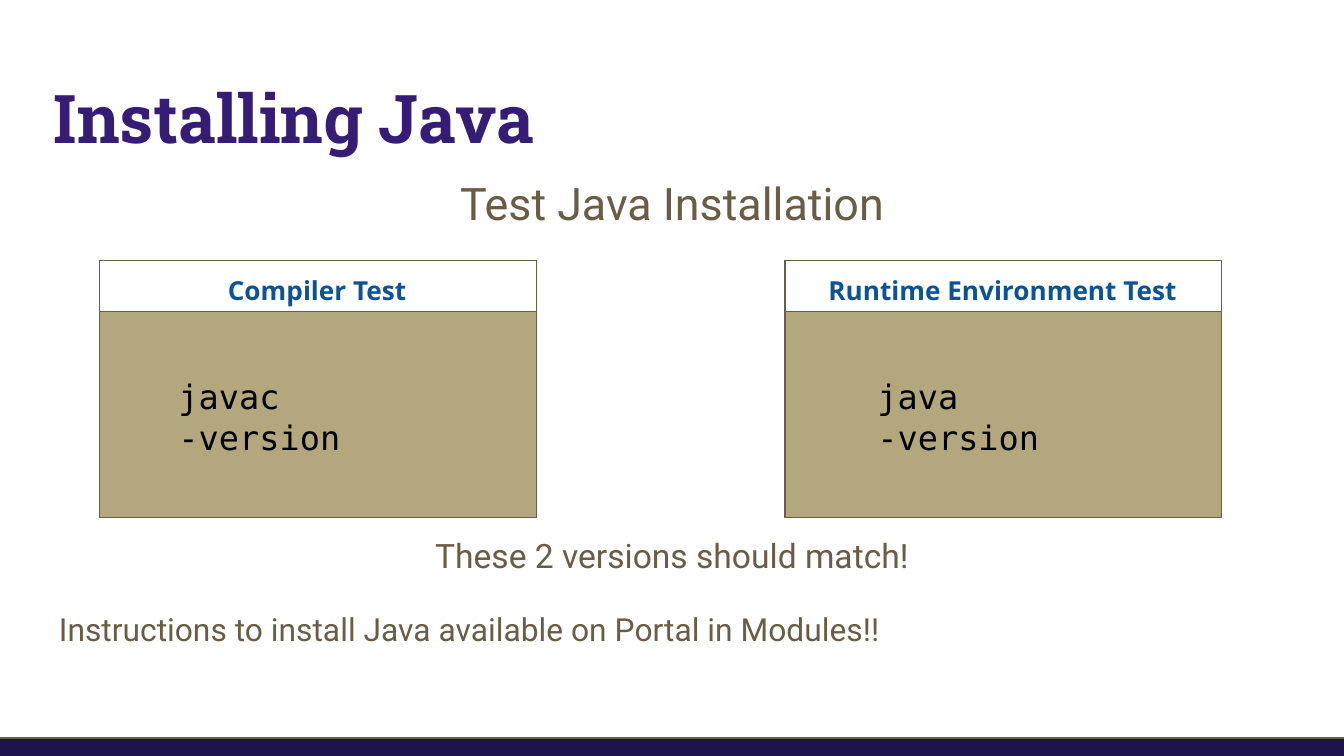
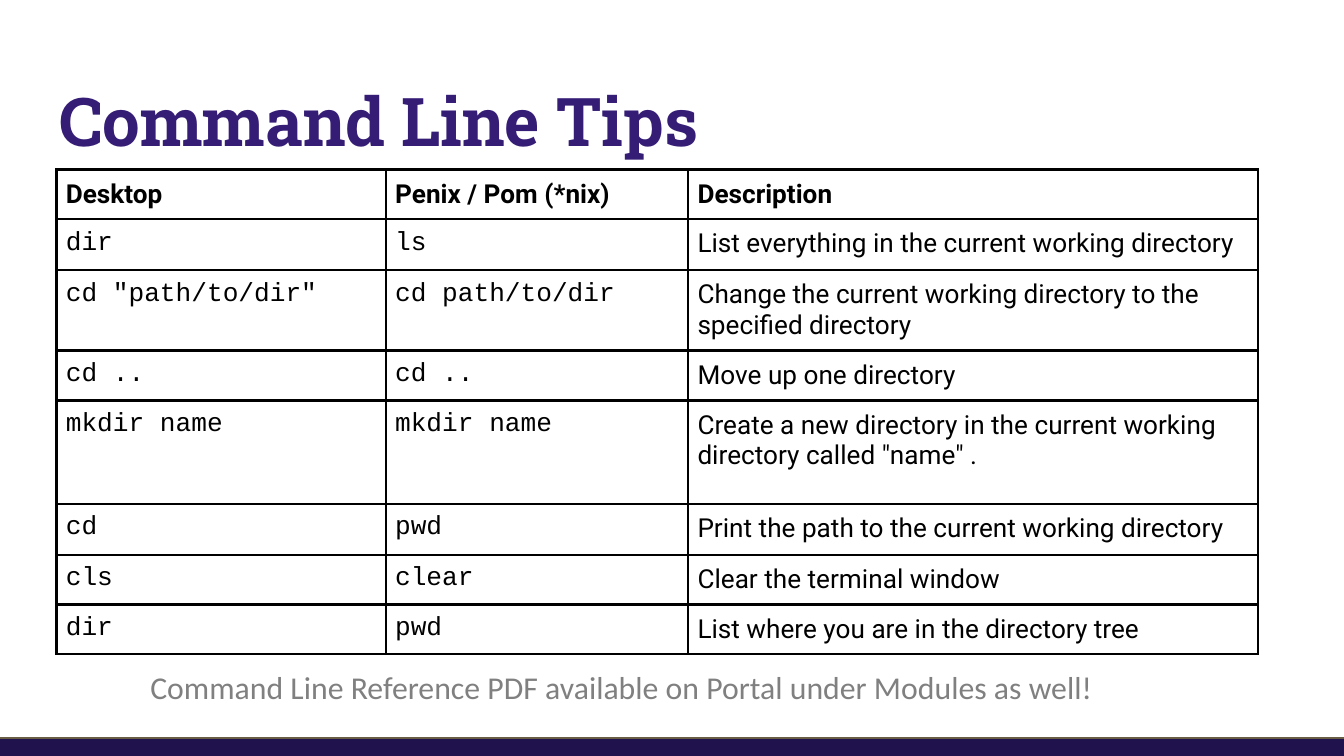
import pptx
import pptx.util
import pptx.dml.color
import pptx.enum.shapes
import pptx.enum.text
import pptx.oxml
import pptx.oxml.ns
from dataclasses import dataclass
from pptx.util import Inches


@dataclass(frozen=True)
class Theme:
    purple: str = "351C75"
    band: str = "20124D"
    brown: str = "695D46"
    tan: str = "B3A77D"
    blue: str = "0B5394"
    gray: str = "808080"
    black: str = "000000"
    white: str = "FFFFFF"
    title_font: str = "Roboto Slab"
    body_font: str = "Roboto"
    label_font: str = "Open Sans"
    code_font: str = "DejaVu Sans Mono"
    command_font: str = "Courier New"
    caption_font: str = "Calibri"
    title_size: int = 36
    subtitle_size: int = 24
    body_size: int = 18
    note_size: int = 17
    small_size: int = 14


theme = Theme()
rgb = pptx.dml.color.RGBColor.from_string
align = pptx.enum.text.PP_ALIGN
top = pptx.enum.text.MSO_ANCHOR.TOP


def write(frame, lines, font, color, sizes, bold=False, alignment=align.LEFT):
    """Fill a text frame with one size per line."""
    frame.text = "\n".join(lines)
    frame.word_wrap = True
    frame.vertical_anchor = top
    frame.margin_left = frame.margin_right = Inches(0.1)
    frame.margin_top = frame.margin_bottom = Inches(0.1)
    for paragraph, size in zip(frame.paragraphs, sizes):
        paragraph.alignment = alignment
        for run in paragraph.runs:
            run.font.name = font
            run.font.size = pptx.util.Pt(size)
            run.font.bold = bold
            run.font.color.rgb = rgb(color)


def add_box(slide, left, top_edge, width, height, fill):
    box = slide.shapes.add_shape(
        pptx.enum.shapes.MSO_SHAPE.RECTANGLE,
        Inches(left), Inches(top_edge), Inches(width), Inches(height))
    box.shadow.inherit = False
    box.fill.solid()
    box.fill.fore_color.rgb = rgb(fill)
    box.line.color.rgb = rgb(theme.brown)
    box.line.width = pptx.util.Pt(0.75)


# Widescreen page, 16:9
deck = pptx.Presentation()
deck.slide_width, deck.slide_height = Inches(10), Inches(10 * 9 / 16)

# Titles and bottom band
slides = []
for heading, left, top_edge in [("Installing Java", 0.3, 0.47),
                                ("Command Line Tips", 0.34, 0.49)]:
    slide = deck.slides.add_slide(deck.slide_layouts[5])
    title = slide.shapes.title
    title.left, title.top = Inches(left), Inches(top_edge)
    title.width, title.height = Inches(9.32), Inches(0.77)
    write(title.text_frame, [heading], theme.title_font, theme.purple,
          [theme.title_size], bold=True)
    add_box(slide, -0.1, 5.49, 10.12, 0.22, theme.band)
    slides.append(slide)
install, tips = slides

# Installing Java: body text
body = install.shapes.add_textbox(Inches(0.34), Inches(1.15), Inches(9.32), Inches(4.24))
write(body.text_frame,
      ["Test Java Installation",
       "These 2 versions should match!",
       "Instructions to install Java available on Portal in Modules!!"],
      theme.body_font, theme.brown,
      [theme.subtitle_size, theme.body_size, theme.note_size], alignment=align.CENTER)
for paragraph, space in zip(body.text_frame.paragraphs, [0, 160, 16]):
    paragraph.line_spacing = 1.15
    paragraph.space_before = pptx.util.Pt(space)
body.text_frame.paragraphs[-1].alignment = align.LEFT

# Installing Java: test cards
for label, command, left, code_left, code_width in [
        ("Compiler Test", "javac -version", 0.74, 1.23, 2.26),
        ("Runtime Environment Test", "java -version", 5.84, 6.43, 2.07)]:
    add_box(install, left, 1.94, 3.25, 1.91, theme.tan)
    code = install.shapes.add_textbox(
        Inches(code_left), Inches(2.7), Inches(code_width), Inches(0.57))
    write(code.text_frame, [command], theme.code_font, theme.black, [theme.body_size])
    add_box(install, left, 1.94, 3.25, 0.38, theme.white)
    header = install.shapes.add_textbox(
        Inches(left + 0.01), Inches(1.94), Inches(3.22), Inches(0.38))
    write(header.text_frame, [label], theme.label_font, theme.blue,
          [theme.small_size], bold=True, alignment=align.CENTER)

# Command Line Tips: command table
commands = [
    ("Desktop", "Penix / Pom (*nix)", "Description"),
    ("dir", "ls", "List everything in the current working directory"),
    ('cd "path/to/dir"', "cd path/to/dir",
     "Change the current working directory to the specified directory"),
    ("cd ..", "cd ..", "Move up one directory"),
    ("mkdir name", "mkdir name",
     'Create a new directory in the current working directory called "name" .'),
    ("cd", "pwd", "Print the path to the current working directory"),
    ("cls", "clear", "Clear the terminal window"),
    ("dir", "pwd", "List where you are in the directory tree"),
]
row_heights = [0.36, 0.38, 0.58, 0.36, 0.77, 0.38, 0.36, 0.36]
column_widths = [2.45, 2.25, 4.24]
table = tips.shapes.add_table(
    len(commands), len(column_widths),
    Inches(0.42), Inches(1.26), Inches(8.94), Inches(3.62)).table
table.first_row = table.horz_banding = False
for column, width in zip(table.columns, column_widths):
    column.width = Inches(width)
for r, (entries, height) in enumerate(zip(commands, row_heights)):
    table.rows[r].height = Inches(height)
    for c, entry in enumerate(entries):
        cell = table.cell(r, c)
        is_command = r > 0 and c < 2
        write(cell.text_frame, [entry],
              theme.command_font if is_command else theme.body_font,
              theme.black, [theme.small_size], bold=r == 0)
        cell.margin_left = cell.margin_right = Inches(0.07)
        cell.margin_top = cell.margin_bottom = Inches(0.07)
        cell.vertical_anchor = top
        cell.fill.background()
        # Borders come before the fill in the cell properties
        properties = cell._tc.get_or_add_tcPr()
        for position, side in enumerate("LRTB"):
            properties.insert(position, pptx.oxml.parse_xml(
                f'<a:ln{side} {pptx.oxml.ns.nsdecls("a")} w="{pptx.util.Pt(1.5)}">'
                f'<a:solidFill><a:srgbClr val="{theme.black}"/></a:solidFill></a:ln{side}>'))

# Command Line Tips: caption
caption = tips.shapes.add_textbox(Inches(1.02), Inches(4.92), Inches(7.8), Inches(0.39))
write(caption.text_frame,
      ["Command Line Reference PDF available on Portal under Modules as well!"],
      theme.caption_font, theme.gray, [theme.note_size])
caption.text_frame.margin_top = caption.text_frame.margin_bottom = Inches(0.05)

deck.save("out.pptx")
